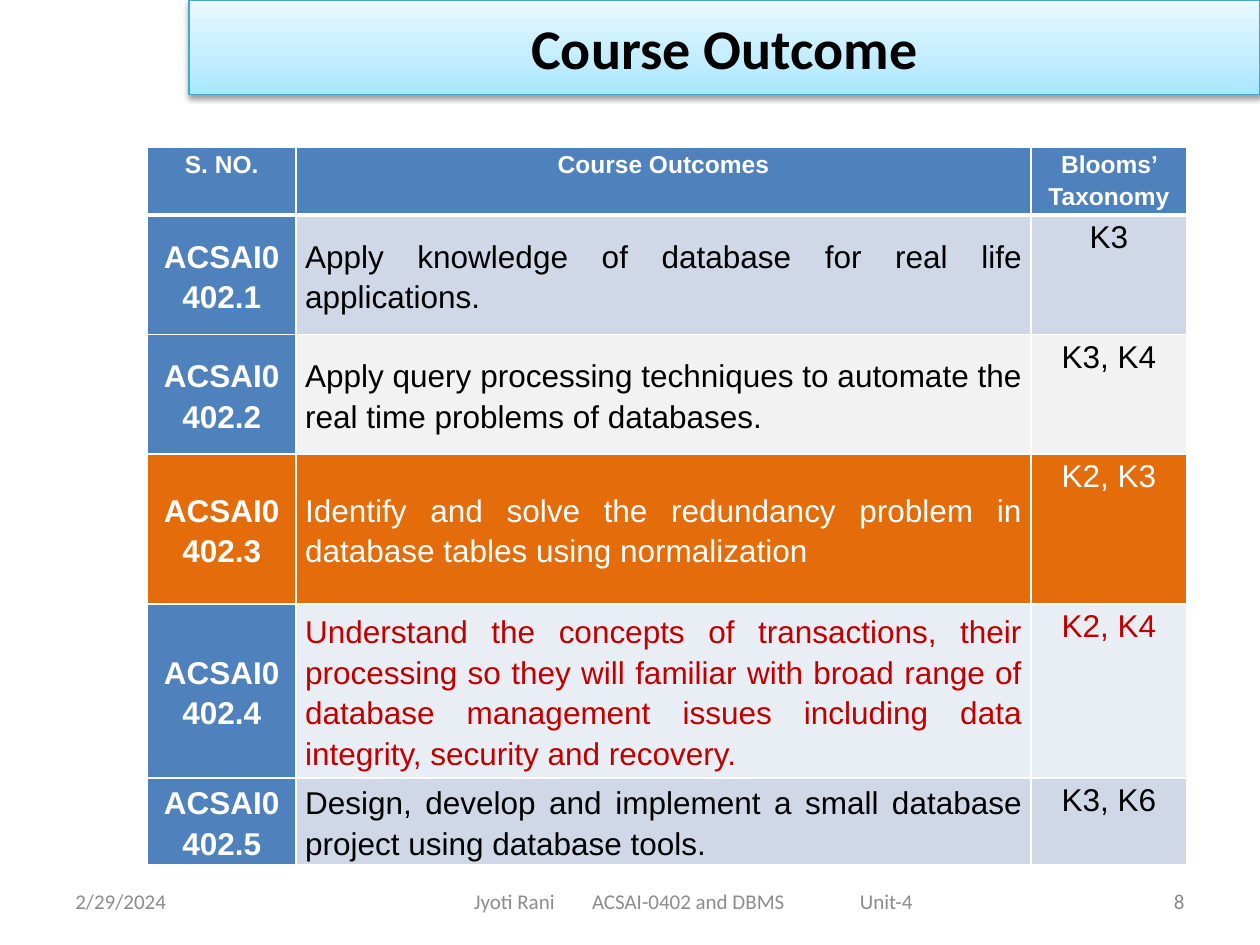
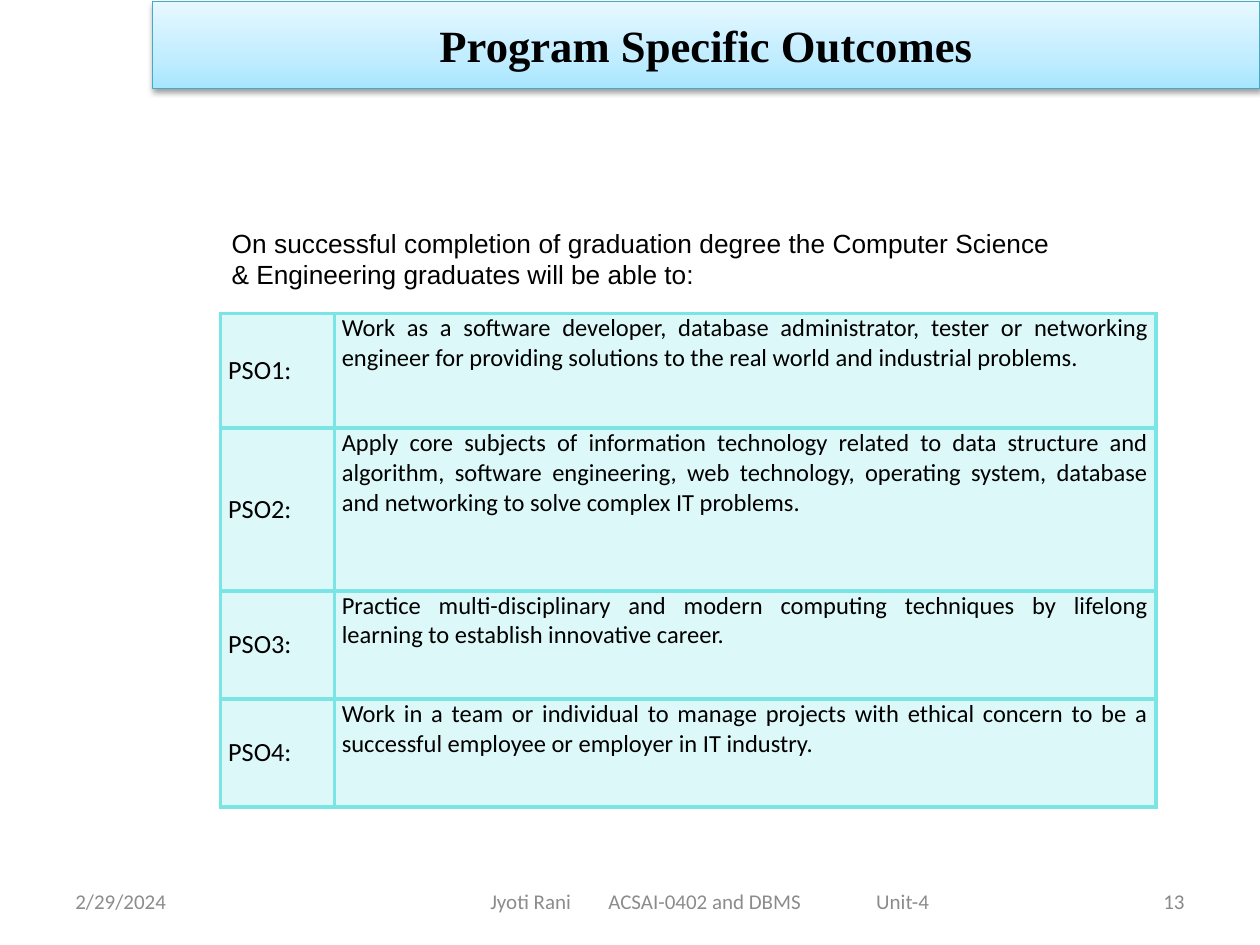
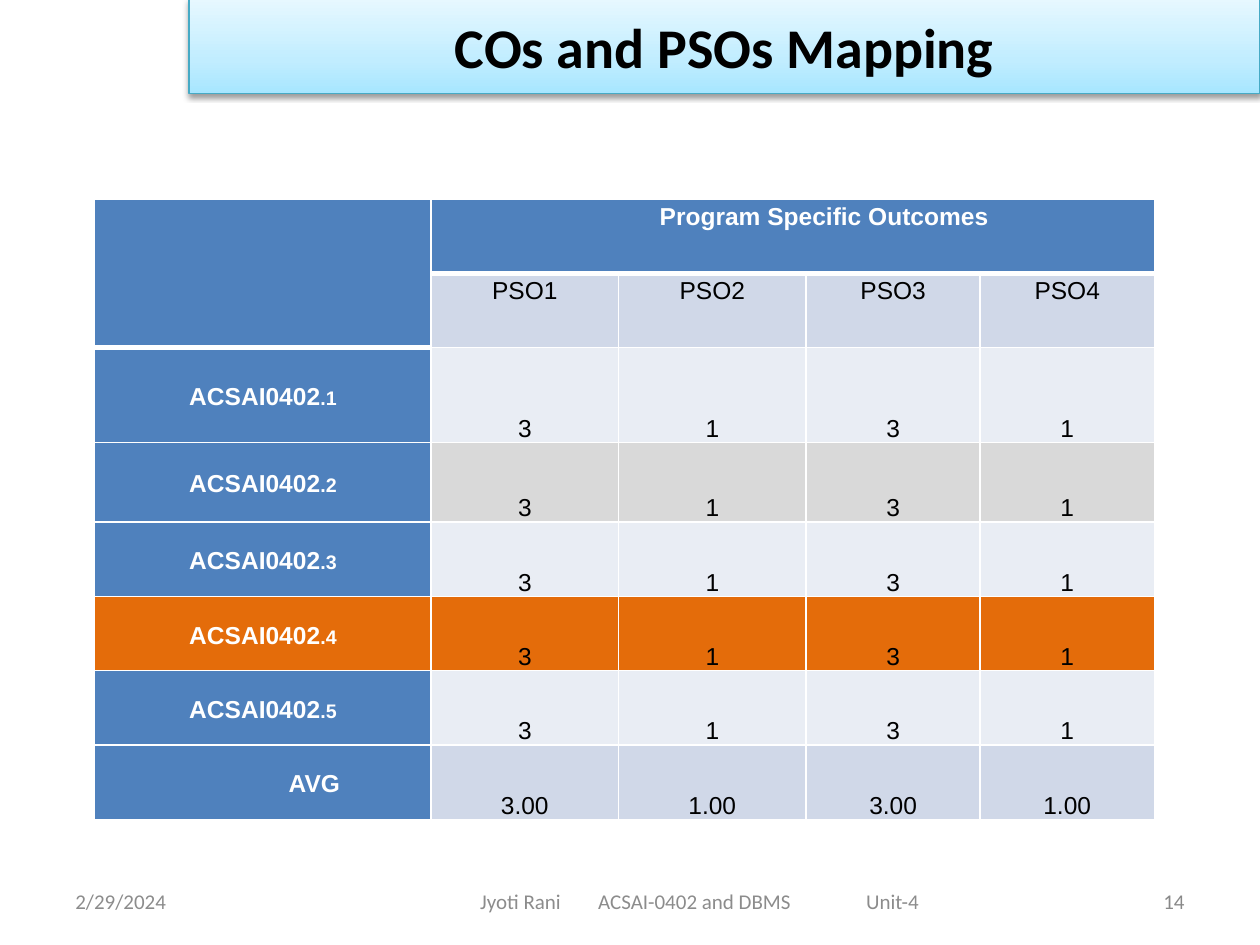
from dataclasses import dataclass, replace
from typing import Any, Optional

from lxml import etree
from pptx import Presentation
from pptx import util as u
from pptx.dml import color as dml
from pptx.enum import text as t
from pptx.oxml import ns

COLORS = {
    "black": "000000",
    "white": "FFFFFF",
    "footer": "8C8C8C",
    "number": "898989",
    "band_low": "A7E6FF",
    "band_mid": "C1EDFF",
    "band_high": "E7F8FF",
    "band_line": "46AAC5",
    "blue": "4F81BD",
    "orange": "E46C0A",
    "red": "C00000",
    "mist": "D0D8E8",
    "pale": "E9EDF4",
    "light_gray": "F2F2F2",
    "gray": "D9D9D9",
    "aqua": "7BE5E5",
}
LEFT, CENTER = t.PP_ALIGN.LEFT, t.PP_ALIGN.CENTER
RIGHT, JUSTIFY = t.PP_ALIGN.RIGHT, t.PP_ALIGN.JUSTIFY
TOP, MIDDLE, BOTTOM = t.MSO_ANCHOR.TOP, t.MSO_ANCHOR.MIDDLE, t.MSO_ANCHOR.BOTTOM

FOOTER_TOP, FOOTER_HEIGHT = 17.65, 1.02
FOOTER_TEXT = "Jyoti Rani\tACSAI-0402 and DBMS\tUnit-4"
FOOTER_TEXT_WIDTH = 8.84
FOOTER_TABS = (2.38, 7.78)


@dataclass(frozen=True)
class Area:
    left: float
    top: float
    width: float
    height: float


@dataclass(frozen=True)
class Look:
    size: float = 18
    font: str = "Arial"
    color: str = "black"
    bold: bool = False
    align: Any = CENTER
    anchor: Any = TOP
    spacing: float = 1.0
    after: float = 0
    indent: float = 0
    fill: str = "white"
    alpha: int = 100
    inset: float = 0.18
    under: float = 1


@dataclass(frozen=True)
class Entry:
    text: str
    look: Look


@dataclass(frozen=True)
class Grid:
    left: float
    top: float
    widths: list[float]
    heights: list[float]
    rows: list[list[Entry]]
    border: str = "white"
    weight: float = 1


@dataclass(frozen=True)
class Frame:
    title: str
    band: Area
    title_look: Look
    footer_left: float
    footer_width: float
    number: int


def rgb(name: str) -> dml.RGBColor:
    return dml.RGBColor.from_string(COLORS[name])


def apply(target: Any, values: dict[str, Any]) -> None:
    for name, value in values.items():
        setattr(target, name, value)


def add_node(parent: Any, tag: str, **attributes: Any) -> Any:
    values = {name: str(value) for name, value in attributes.items()}
    return etree.SubElement(parent, ns.qn(tag), values)


def write(para: Any, text: str, look: Look) -> None:
    apply(para, {"alignment": look.align, "line_spacing": look.spacing,
                 "space_before": u.Pt(0), "space_after": u.Pt(look.after)})
    if look.indent:
        para._p.get_or_add_pPr().set("marL", str(u.Cm(look.indent)))
    main, _, small = text.partition("|")
    for words, is_small in ((main, False), (small, True)):
        if not words:
            continue
        span = para.add_run()
        span.text = words
        apply(span.font, {"size": u.Pt(look.size), "name": look.font, "bold": look.bold})
        span.font.color.rgb = rgb(look.color)
        if is_small:
            span.font._element.set("cap", "small")


def add_text(page: Any, area: Area, text: str, look: Look) -> Any:
    box = page.shapes.add_textbox(u.Cm(area.left), u.Cm(area.top),
                                  u.Cm(area.width), u.Cm(area.height))
    apply(box.text_frame, {"word_wrap": True, "vertical_anchor": look.anchor})
    write(box.text_frame.paragraphs[0], text, look)
    return box


def format_band(band: Any, frame: Frame) -> None:
    area = frame.band
    apply(band, {"left": u.Cm(area.left), "top": u.Cm(area.top),
                 "width": u.Cm(area.width), "height": u.Cm(area.height)})
    properties = band._element.spPr
    gradient = add_node(properties, "a:gradFill", rotWithShape=1)
    stops = add_node(gradient, "a:gsLst")
    for position, name in ((0, "band_low"), (35, "band_mid"), (100, "band_high")):
        stop = add_node(stops, "a:gs", pos=position * 1000)
        add_node(stop, "a:srgbClr", val=COLORS[name])
    add_node(gradient, "a:lin", ang=270 * 60000, scaled=1)
    band.line.color.rgb = rgb("band_line")
    band.line.width = u.Pt(0.75)
    effects = add_node(properties, "a:effectLst")
    shadow = add_node(effects, "a:outerShdw", blurRad=40000, dist=20000,
                      dir=90 * 60000, rotWithShape=0)
    shade = add_node(shadow, "a:srgbClr", val=COLORS["black"])
    add_node(shade, "a:alpha", val=38000)
    apply(band.text_frame, {"word_wrap": True, "auto_size": t.MSO_AUTO_SIZE.NONE,
                            "vertical_anchor": MIDDLE})
    write(band.text_frame.paragraphs[0], frame.title, frame.title_look)


def add_footer(page: Any, frame: Frame) -> None:
    look = Look(12, "Calibri", "footer", align=LEFT, anchor=MIDDLE)
    add_text(page, Area(1.27, FOOTER_TOP, 5.92, FOOTER_HEIGHT), "2/29/2024", look)
    area = Area(frame.footer_left, FOOTER_TOP, frame.footer_width, FOOTER_HEIGHT)
    box = add_text(page, area, FOOTER_TEXT, look)
    box.text_frame.margin_left = u.Cm((frame.footer_width - FOOTER_TEXT_WIDTH) / 2)
    tabs = add_node(box.text_frame.paragraphs[0]._p.get_or_add_pPr(), "a:tabLst")
    for position in FOOTER_TABS:
        add_node(tabs, "a:tab", pos=u.Cm(position), algn="l")
    add_text(page, Area(18.21, FOOTER_TOP, 5.92, FOOTER_HEIGHT), str(frame.number),
             replace(look, color="number", align=RIGHT))


def add_page(deck: Any, frame: Frame) -> Any:
    page = deck.slides.add_slide(deck.slide_layouts[5])
    format_band(page.shapes.title, frame)
    add_footer(page, frame)
    return page


def set_borders(cell: Any, color: str, weights: dict[str, float]) -> None:
    properties = cell._tc.get_or_add_tcPr()
    for index, (side, weight) in enumerate(weights.items()):
        line = add_node(properties, f"a:ln{side}", w=u.Pt(weight))
        fill = add_node(line, "a:solidFill")
        add_node(fill, "a:srgbClr", val=COLORS[color])
        properties.insert(index, line)


def format_cell(cell: Any, entry: Entry, grid: Grid, above: Optional[Entry]) -> None:
    look = entry.look
    apply(cell, {"margin_left": u.Cm(look.inset), "margin_right": u.Cm(look.inset),
                 "margin_top": 0, "margin_bottom": 0, "vertical_anchor": look.anchor})
    cell.fill.solid()
    cell.fill.fore_color.rgb = rgb(look.fill)
    if look.alpha < 100:
        tint = cell._tc.tcPr.find(".//" + ns.qn("a:srgbClr"))
        add_node(tint, "a:alpha", val=look.alpha * 1000)
    over = above.look.under if above else 1
    set_borders(cell, grid.border, {"L": grid.weight, "R": grid.weight,
                                    "T": max(grid.weight, over),
                                    "B": max(grid.weight, look.under)})
    if entry.text:
        write(cell.text_frame.paragraphs[0], entry.text, look)


def add_grid(page: Any, grid: Grid) -> Any:
    holder = page.shapes.add_table(
        len(grid.heights), len(grid.widths), u.Cm(grid.left), u.Cm(grid.top),
        u.Cm(sum(grid.widths)), u.Cm(sum(grid.heights)))
    table = holder.table
    apply(table, {"first_row": False, "horz_banding": False})
    for column, width in zip(table.columns, grid.widths):
        column.width = u.Cm(width)
    for row, height in zip(table.rows, grid.heights):
        row.height = u.Cm(height)
    for r, entries in enumerate(grid.rows):
        for c, entry in enumerate(entries):
            above = grid.rows[r - 1][c] if r else None
            format_cell(table.cell(r, c), entry, grid, above)
    return table


TITLE = Look(32, "Calibri", bold=True)
HEADER = Look(14, color="white", bold=True, spacing=1.15, fill="blue", under=3)
CODE = replace(HEADER, anchor=MIDDLE, under=1)

OUTCOMES = [
    ("Apply knowledge of database for real life applications.",
     "K3", "blue", "mist", "black"),
    ("Apply query processing techniques to automate the real time problems of databases.",
     "K3, K4", "blue", "light_gray", "black"),
    ("Identify and solve the redundancy problem in database tables using normalization",
     "K2, K3", "orange", "orange", "white"),
    ("Understand the concepts of transactions, their processing so they will familiar with "
     "broad range of database management issues including data integrity, security and "
     "recovery.", "K2, K4", "blue", "pale", "red"),
    ("Design, develop and implement a small database project using database tools.",
     "K3, K6", "blue", "mist", "black"),
]
SPECIFIC_OUTCOMES = [
    "Work as a software developer, database administrator, tester or networking engineer "
    "for providing solutions to the real world and industrial problems.",
    "Apply core subjects of information technology related to data structure and algorithm, "
    "software engineering, web technology, operating system, database and networking to "
    "solve complex IT problems.",
    "Practice multi-disciplinary and modern computing techniques by lifelong learning to "
    "establish innovative career.",
    "Work in a team or individual to manage projects with ethical concern to be a "
    "successful employee or employer in IT industry.",
]
MAPPING_FILLS = [("blue", "pale"), ("blue", "gray"), ("blue", "pale"),
                 ("orange", "orange"), ("blue", "pale")]
MAPPING_LEVELS = (3, 1, 3, 1)


def build_course_outcomes(deck: Any) -> None:
    page = add_page(deck, Frame("Course Outcome", Area(3.81, 0, 21.59, 1.91),
                                TITLE, 6.99, 13.97, 8))
    rows = [[Entry(label, HEADER) for label in
             ("S. NO.", "Course Outcomes", "Blooms’ Taxonomy")]]
    for number, (outcome, level, code_fill, fill, color) in enumerate(OUTCOMES, 1):
        plain = Look(18, color=color, spacing=1.15, fill=fill)
        rows.append([
            Entry(f"ACSAI0402.{number}", replace(CODE, size=18, fill=code_fill)),
            Entry(outcome, replace(plain, align=JUSTIFY, anchor=MIDDLE)),
            Entry(level, plain),
        ])
    add_grid(page, Grid(2.97, 2.97, [3, 14.81, 3.15],
                        [1.35, 2.41, 2.41, 3.02, 3.51, 1.73], rows))


def build_specific_outcomes(deck: Any) -> None:
    page = add_page(deck, Frame("Program Specific Outcomes", Area(3.07, 0.03, 22.33, 1.75),
                                replace(TITLE, size=25.5, font="Times New Roman"),
                                8.69, 11.23, 13))
    body = Look(14, "Calibri", align=JUSTIFY, fill="aqua", alpha=25, inset=0.15)
    label = replace(body, size=15, anchor=MIDDLE)
    rows = [[Entry(f"PSO{number}:", label), Entry(outcome, body)]
            for number, outcome in enumerate(SPECIFIC_OUTCOMES, 1)]
    add_grid(page, Grid(4.45, 6.32, [2.29, 16.56], [2.31, 3.28, 2.18, 2.18],
                        rows, "aqua", 2.25))
    add_text(page, Area(4.42, 4.45, 16.99, 1.55),
             "On successful completion of graduation degree the Computer Science "
             "& Engineering graduates will be able to:", Look(15, align=JUSTIFY))


def build_mapping(deck: Any) -> None:
    page = add_page(deck, Frame("COs and PSOs Mapping", Area(3.81, -0.03, 21.59, 1.91),
                                TITLE, 6.3, 15.6, 14))
    value = Look(14, spacing=1.15, after=10, anchor=BOTTOM)
    column_label = Look(14, spacing=1.15, fill="mist")
    corner = Entry("", HEADER)
    group = Entry("Program Specific Outcomes", replace(HEADER, after=10, indent=1.27))
    rows = [
        [corner, group, corner, corner, corner],
        [corner] + [Entry(f"PSO{number}", column_label) for number in range(1, 5)],
    ]
    for number, (code_fill, fill) in enumerate(MAPPING_FILLS, 1):
        rows.append([Entry(f"ACSAI0402|.{number}", replace(CODE, fill=code_fill))]
                    + [Entry(str(level), replace(value, fill=fill))
                       for level in MAPPING_LEVELS])
    rows.append([Entry("|AVG", replace(CODE, indent=1.04))]
                + [Entry(f"{level:.2f}", replace(value, fill="mist"))
                   for level in MAPPING_LEVELS])
    table = add_grid(page, Grid(1.91, 4.01, [6.78, 3.78, 3.78, 3.51, 3.51],
                                [1.5, 1.5, 1.91, 1.6] + [1.5] * 4, rows))
    table.cell(0, 0).merge(table.cell(1, 0))
    table.cell(0, 1).merge(table.cell(0, 4))


def main() -> None:
    deck = Presentation()
    apply(deck, {"slide_width": u.Cm(25.4), "slide_height": u.Cm(19.05)})
    for build in (build_course_outcomes, build_specific_outcomes, build_mapping):
        build(deck)
    deck.save("out.pptx")


if __name__ == "__main__":
    main()
